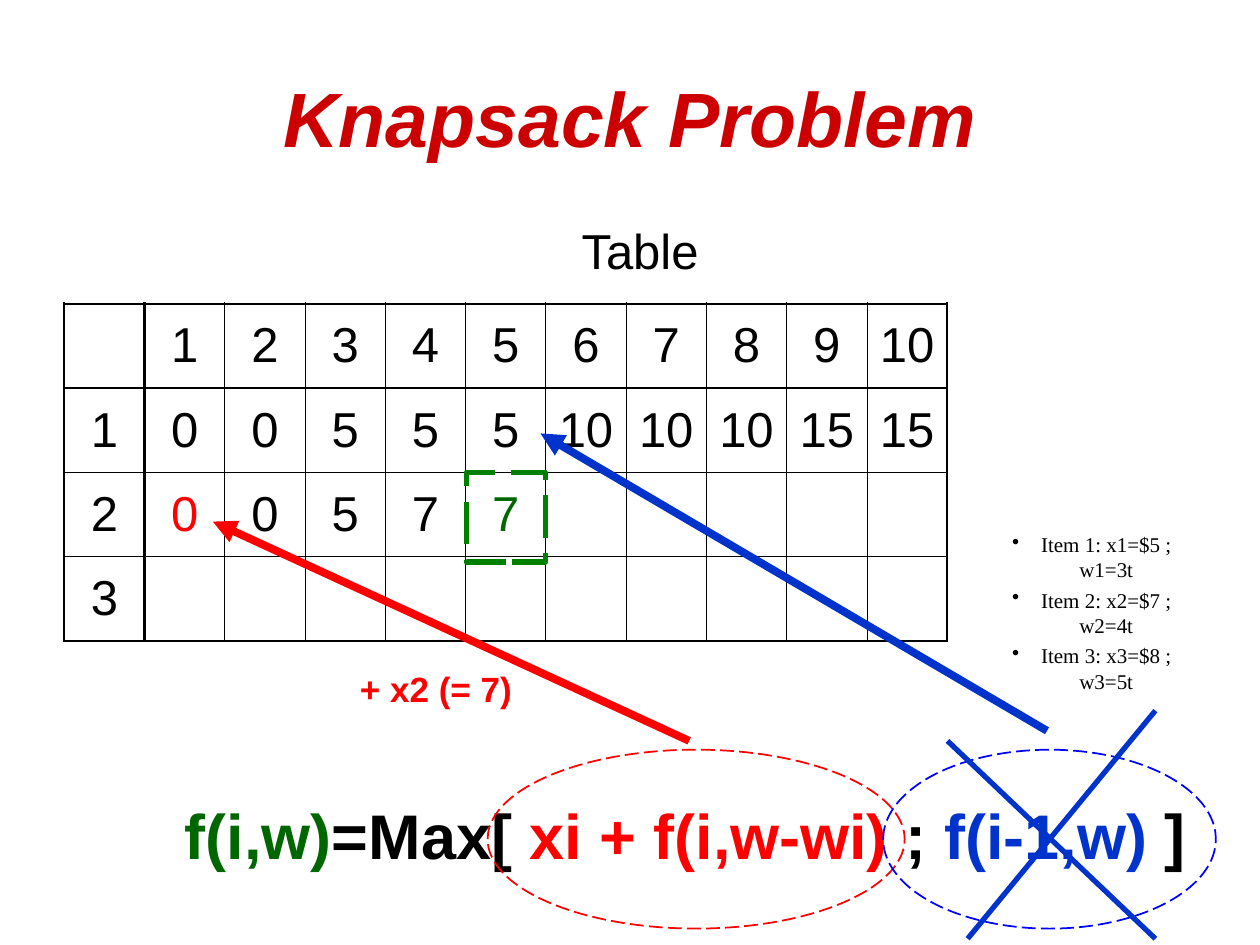
import pptx
import pptx.dml.color
import pptx.enum.dml
import pptx.enum.shapes
import pptx.enum.text
import pptx.oxml.ns
import pptx.util
from lxml import etree
from pptx.util import Inches

COLORS = {
    "title": "CC0000", "text": "000000", "red": "FF0000", "blue": "0033CC",
    "green": "006600", "frame": "008000", "oval": "0000FF",
}
CENTER = pptx.enum.text.PP_ALIGN.CENTER
MIDDLE = pptx.enum.text.MSO_ANCHOR.MIDDLE
ROWS = [
    ["", *range(1, 11)],
    [1, 0, 0, 5, 5, 5, 10, 10, 10, 15, 15],
    [2, 0, 0, 5, 7, 7],
    [3],
]
CELL_COLORS = {(2, 1): "red", (2, 5): "green"}
ITEMS = ["Item 1: x1=$5 ; w1=3t", "Item 2: x2=$7 ; w2=4t", "Item 3: x3=$8 ; w3=5t"]
FORMULA = [
    ("f(i,w)", "green"), ("=Max[ ", "text"), ("xi + f(i,w-wi)", "red"),
    (" ; ", "text"), ("f(i-1,w)", "blue"), (" ]", "text"),
]


def rgb(name):
    return pptx.dml.color.RGBColor.from_string(COLORS[name])


def add_xml(parent, tag, **attributes):
    return etree.SubElement(parent, pptx.oxml.ns.qn(tag), attributes)


def place(shape, left, top, width, height):
    shape.left, shape.top = Inches(left), Inches(top)
    shape.width, shape.height = Inches(width), Inches(height)


def write(paragraph, spans, size, before=0, bold=False, italic=False, font="Arial"):
    """Fill a centred paragraph with (text, colour name) runs."""
    paragraph.alignment = CENTER
    paragraph.space_before = pptx.util.Pt(before)
    for text, color in spans:
        span = paragraph.add_run()
        span.text = text
        span.font.name = font
        span.font.size = pptx.util.Pt(size)
        span.font.bold = bold
        span.font.italic = italic
        span.font.color.rgb = rgb(color)


def set_indent(paragraph, margin, bullet=None):
    """Hang the first line by the margin, with a bullet or none."""
    properties = paragraph._p.get_or_add_pPr()
    properties.set("marL", str(Inches(margin)))
    properties.set("indent", str(-Inches(margin)))
    if bullet:
        color = add_xml(properties, "a:buClr")
        add_xml(color, "a:srgbClr", val=COLORS["text"])
        add_xml(properties, "a:buChar", char=bullet)
    else:
        add_xml(properties, "a:buNone")


def fill_placeholders(page):
    title, body = page.placeholders
    place(title, 0.5, 0.3, 9, 1.25)
    place(body, 2.87, 1.7, 4.42, 0.66)
    for box in (title, body):
        box.text_frame.auto_size = pptx.enum.text.MSO_AUTO_SIZE.NONE
    title.text_frame.vertical_anchor = MIDDLE
    write(title.text_frame.paragraphs[0], [("Knapsack Problem", "title")], 44,
          bold=True, italic=True)
    heading = body.text_frame.paragraphs[0]
    write(heading, [("Table", "text")], 28, before=7)
    set_indent(heading, 0.38)


def add_text_box(page, left, top, width, height):
    box = page.shapes.add_textbox(*map(Inches, (left, top, width, height)))
    box.text_frame.word_wrap = True
    return box.text_frame


def add_label(page, bounds, spans, size, before):
    paragraph = add_text_box(page, *bounds).paragraphs[0]
    write(paragraph, spans, size, before, bold=True)
    set_indent(paragraph, 0.38)


def add_items(page):
    frame = add_text_box(page, 7.75, 4.17, 1.83, 0.79)
    for index, item in enumerate(ITEMS):
        paragraph = frame.add_paragraph() if index else frame.paragraphs[0]
        write(paragraph, [(item, "text")], 12, before=3, font="Times New Roman")
        set_indent(paragraph, 0.23, "•")


def set_borders(cell, row, column, last_row, last_column):
    """Heavy lines go round the table and after the header row and column."""
    heavy = {
        "a:lnL": column in (0, 1), "a:lnR": column in (0, last_column),
        "a:lnT": row in (0, 1), "a:lnB": row in (0, last_row),
    }
    properties = cell._tc.get_or_add_tcPr()
    for tag, is_heavy in heavy.items():
        width = pptx.util.Pt(1.47 if is_heavy else 0.45)
        line = add_xml(properties, tag, w=str(width))
        add_xml(add_xml(line, "a:solidFill"), "a:srgbClr", val=COLORS["text"])


def add_value_table(page):
    row_count, column_count = len(ROWS), len(ROWS[0])
    table = page.shapes.add_table(row_count, column_count, Inches(0.51), Inches(2.41),
                                  Inches(7.01), Inches(2.68)).table
    table.first_row = table.horz_banding = False
    for row, values in enumerate(ROWS):
        for column in range(column_count):
            cell = table.cell(row, column)
            set_borders(cell, row, column, row_count - 1, column_count - 1)
            cell.fill.background()
            cell.vertical_anchor = MIDDLE
            if column < len(values) and values[column] != "":
                color = CELL_COLORS.get((row, column), "text")
                write(cell.text_frame.paragraphs[0], [(str(values[column]), color)],
                      28, before=7)


def add_dashed_outline(page, kind, bounds, color, width):
    shape = page.shapes.add_shape(kind, *map(Inches, bounds))
    shape.shadow.inherit = False
    shape.fill.background()
    shape.line.color.rgb = rgb(color)
    shape.line.width = pptx.util.Pt(width)
    shape.line.dash_style = pptx.enum.dml.MSO_LINE.LONG_DASH


def add_line(page, start, end, color, width, arrow=False):
    line = page.shapes.add_connector(pptx.enum.shapes.MSO_CONNECTOR.STRAIGHT,
                                     *map(Inches, (*start, *end)))
    line.line.color.rgb = rgb(color)
    line.line.width = pptx.util.Pt(width)
    if arrow:
        add_xml(line.line._get_or_add_ln(), "a:tailEnd", type="triangle")
    add_xml(line._element.spPr, "a:effectLst")


def main():
    deck = pptx.Presentation()
    deck.slide_width, deck.slide_height = Inches(10), Inches(7.5)
    page = deck.slides.add_slide(deck.slide_layouts[1])
    rectangle = pptx.enum.shapes.MSO_SHAPE.RECTANGLE
    oval = pptx.enum.shapes.MSO_SHAPE.OVAL

    fill_placeholders(page)
    add_value_table(page)
    add_label(page, (2.24, 5.25, 2.44, 0.66), [("+ x2 (= 7)", "red")], 20, 5)
    add_dashed_outline(page, rectangle, (3.7, 3.75, 0.63, 0.71), "frame", 3)
    add_label(page, (1.06, 6.27, 8.76, 0.98), FORMULA, 36, 9)
    add_dashed_outline(page, oval, (3.87, 5.95, 3.31, 1.42), "red", 1)
    add_dashed_outline(page, oval, (7.01, 5.95, 2.64, 1.42), "oval", 1)
    add_line(page, (5.47, 5.88), (1.69, 4.14), "red", 4.5, arrow=True)
    add_line(page, (8.31, 5.8), (4.29, 3.44), "blue", 4.5, arrow=True)
    add_line(page, (7.52, 5.88), (9.17, 7.45), "blue", 3)
    add_line(page, (9.17, 5.64), (7.68, 7.45), "blue", 3)
    add_items(page)
    deck.save("out.pptx")


if __name__ == "__main__":
    main()
